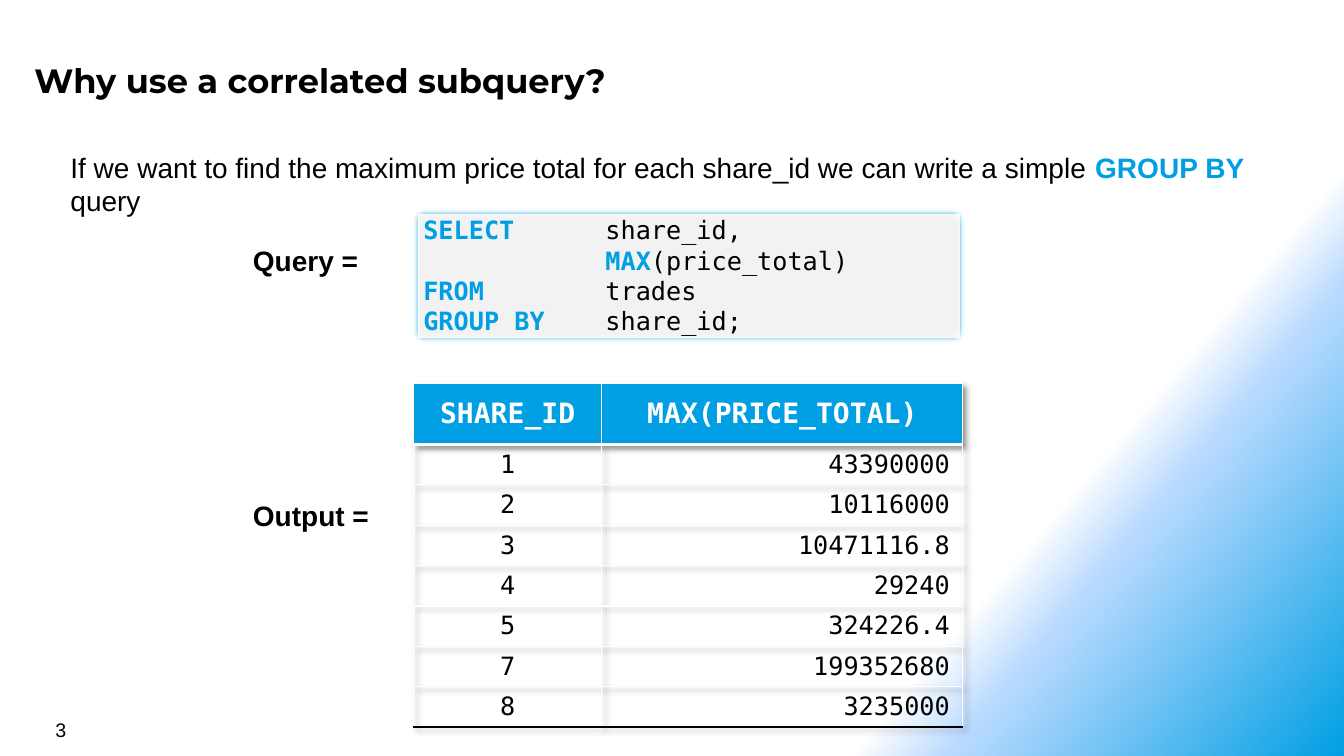
from lxml import etree
from pptx import Presentation
from pptx.dml.color import RGBColor
from pptx.enum.shapes import MSO_SHAPE
from pptx.enum.text import MSO_ANCHOR, MSO_AUTO_SIZE, PP_ALIGN
from pptx.oxml import parse_xml
from pptx.util import Inches, Pt

RECT = MSO_SHAPE.RECTANGLE
TOP, MIDDLE = MSO_ANCHOR.TOP, MSO_ANCHOR.MIDDLE
LEFT, CENTER, RIGHT = PP_ALIGN.LEFT, PP_ALIGN.CENTER, PP_ALIGN.RIGHT
COLORS = {"blue": "009FE3", "sky": "B9DAFF", "white": "FFFFFF",
          "black": "000000", "panel": "F2F2F2"}
SANS, MONO, HEADING = "Arial", "DejaVu Sans Mono", "Montserrat"
NS = 'xmlns:a="http://schemas.openxmlformats.org/drawingml/2006/main"'
NS_P = 'xmlns:p="http://schemas.openxmlformats.org/presentationml/2006/main"'

# Runs are (text, is_keyword); keywords are bold and blue.
TITLE = "Why use a correlated subquery?"
INTRO = [("If we want to find the maximum price total for each share_id "
          "we can write a simple ", False), ("GROUP BY ", True), ("query", False)]
QUERY = [
    [("SELECT      ", True), ("share_id,", False)],
    [("            ", False), ("MAX", True), ("(price_total)", False)],
    [("FROM ", True), ("       trades", False)],
    [("GROUP BY    ", True), ("share_id;", False)],
]
LABELS = [("Query =", 2.37), ("Output =", 4.9)]
OUTPUT = [
    ("SHARE_ID", "MAX(PRICE_TOTAL)"),
    ("1", "43390000"),
    ("2", "10116000"),
    ("3", "10471116.8"),
    ("4", "29240"),
    ("5", "324226.4"),
    ("7", "199352680"),
    ("8", "3235000"),
]
PAGE = "3"
BACKGROUND = [(75, "white"), (80, "sky"), (100, "blue")]

PANEL_X = 4.1
COL_WIDTHS = (1.87, 3.58)
HEADER_H, ROW_H = 0.61, 0.4


def rgb(name):
    return RGBColor.from_string(COLORS[name])


def style(r, size, font, color="black", bold=False):
    r.font.size, r.font.name, r.font.bold = Pt(size), font, bold
    r.font.color.rgb = rgb(color)


def add_runs(p, runs, size, font):
    for text, keyword in runs:
        r = p.add_run()
        r.text = text
        style(r, size, font, "blue" if keyword else "black", keyword)


def add_box(slide, x, y, w, h, anchor=TOP):
    """Add a wrapping text box and return its first paragraph."""
    tf = slide.shapes.add_textbox(Inches(x), Inches(y), Inches(w), Inches(h)).text_frame
    tf.word_wrap = True
    tf.vertical_anchor = anchor
    return tf.paragraphs[0]


def set_background(slide):
    stops = "".join(f'<a:gs pos="{pos * 1000}"><a:srgbClr val="{COLORS[c]}"/></a:gs>'
                    for pos, c in BACKGROUND)
    slide.element.cSld.insert(0, parse_xml(
        f'<p:bg {NS} {NS_P}><p:bgPr><a:gradFill><a:gsLst>{stops}</a:gsLst>'
        f'<a:lin ang="{40 * 60000}" scaled="0"/></a:gradFill><a:effectLst/></p:bgPr></p:bg>'))


def set_border(cell, side, color, width):
    """Add one border; fill must be set later so that it follows the borders."""
    cell._tc.get_or_add_tcPr().append(parse_xml(
        f'<a:ln{side} {NS} w="{Pt(width)}"><a:solidFill>'
        f'<a:srgbClr val="{COLORS[color]}"/></a:solidFill></a:ln{side}>'))


def add_title(slide):
    title = slide.shapes.title
    title.left, title.top = Inches(0.26), Inches(0.51)
    title.width, title.height = Inches(12.26), Inches(0.55)
    tf = title.text_frame
    tf.text = TITLE
    tf.auto_size = MSO_AUTO_SIZE.NONE
    tf.vertical_anchor = TOP
    tf.margin_left = tf.margin_right = tf.margin_top = tf.margin_bottom = Inches(0.08)
    tf.paragraphs[0].alignment = LEFT
    style(tf.paragraphs[0].runs[0], 24, HEADING, bold=True)


def add_query(slide):
    sp = slide.shapes.add_shape(RECT, Inches(PANEL_X), Inches(2.08),
                                Inches(sum(COL_WIDTHS)), Inches(1.31))
    sp.fill.solid()
    sp.fill.fore_color.rgb = rgb("panel")
    sp.line.color.rgb = rgb("blue")
    sp.line.width = Pt(6)
    sp.shadow.inherit = False
    effects = sp._element.spPr.find("{*}effectLst")
    etree.SubElement(effects, effects.tag.replace("effectLst", "softEdge"), rad=str(Pt(5)))
    tf = sp.text_frame
    tf.word_wrap = True
    tf.vertical_anchor = TOP
    for i, line in enumerate(QUERY):
        p = tf.add_paragraph() if i else tf.paragraphs[0]
        p.alignment = LEFT
        add_runs(p, line, 18, MONO)


def add_output(slide):
    body_rows = len(OUTPUT) - 1
    table = slide.shapes.add_table(
        len(OUTPUT), len(COL_WIDTHS), Inches(PANEL_X), Inches(3.8),
        Inches(sum(COL_WIDTHS)), Inches(HEADER_H + body_rows * ROW_H)).table
    table.horz_banding = False
    table._tbl.tblPr.insert(0, parse_xml(
        f'<a:effectLst {NS}><a:outerShdw blurRad="{Pt(4)}" dist="{Pt(3)}" dir="2700000">'
        f'<a:srgbClr val="{COLORS["black"]}"><a:alpha val="40000"/></a:srgbClr>'
        '</a:outerShdw></a:effectLst>'))
    for col, width in zip(table.columns, COL_WIDTHS):
        col.width = Inches(width)
    for i, values in enumerate(OUTPUT):
        header, last = i == 0, i == body_rows
        table.rows[i].height = Inches(HEADER_H if header else ROW_H)
        for j, value in enumerate(values):
            cell = table.cell(i, j)
            for side in "LRT":
                set_border(cell, side, "white", 3 if i == 1 and side == "T" else 1)
            set_border(cell, "B", "black" if last else "white", 3 if header else 1)
            if header:
                cell.fill.solid()
                cell.fill.fore_color.rgb = rgb("blue")
            else:
                cell.fill.background()
            cell.vertical_anchor = MIDDLE
            cell.margin_left = cell.margin_right = Inches(0.13)
            cell.text = value
            p = cell.text_frame.paragraphs[0]
            p.alignment = CENTER if header or j == 0 else RIGHT
            style(p.runs[0], 20 if header else 18, MONO,
                  "white" if header else "black", header)


def main():
    prs = Presentation()
    prs.slide_width, prs.slide_height = Inches(13.33), Inches(7.5)
    slide = prs.slides.add_slide(prs.slide_layouts[5])
    set_background(slide)
    add_title(slide)
    add_query(slide)
    add_runs(add_box(slide, 0.6, 1.44, 11.92, 1.08), INTRO, 20, SANS)
    for text, y in LABELS:
        p = add_box(slide, 2.41, y, 1.45, 0.74)
        p.text = text
        style(p.runs[0], 20, SANS, bold=True)
    add_runs(add_box(slide, 0.45, 7.07, 3.11, 0.33, MIDDLE), [(PAGE, False)], 14, SANS)
    add_output(slide)
    prs.save("out.pptx")


if __name__ == "__main__":
    main()
